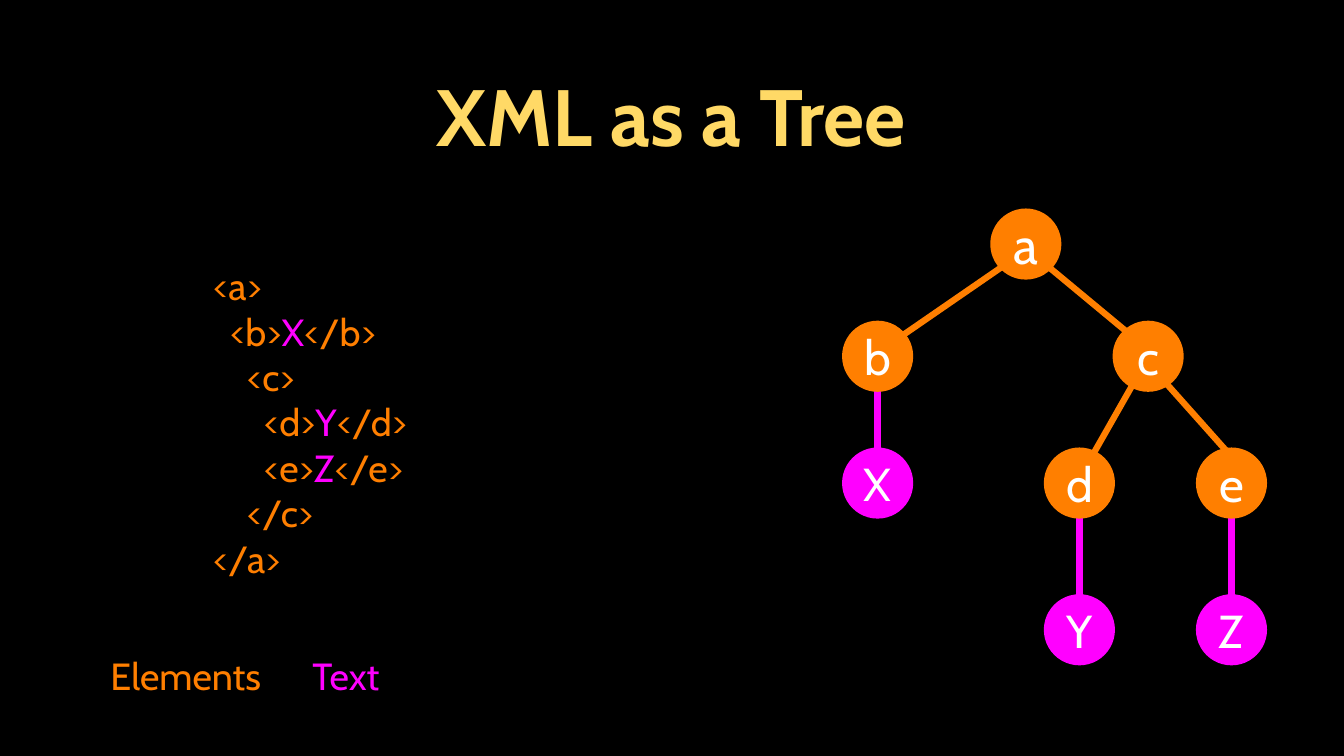
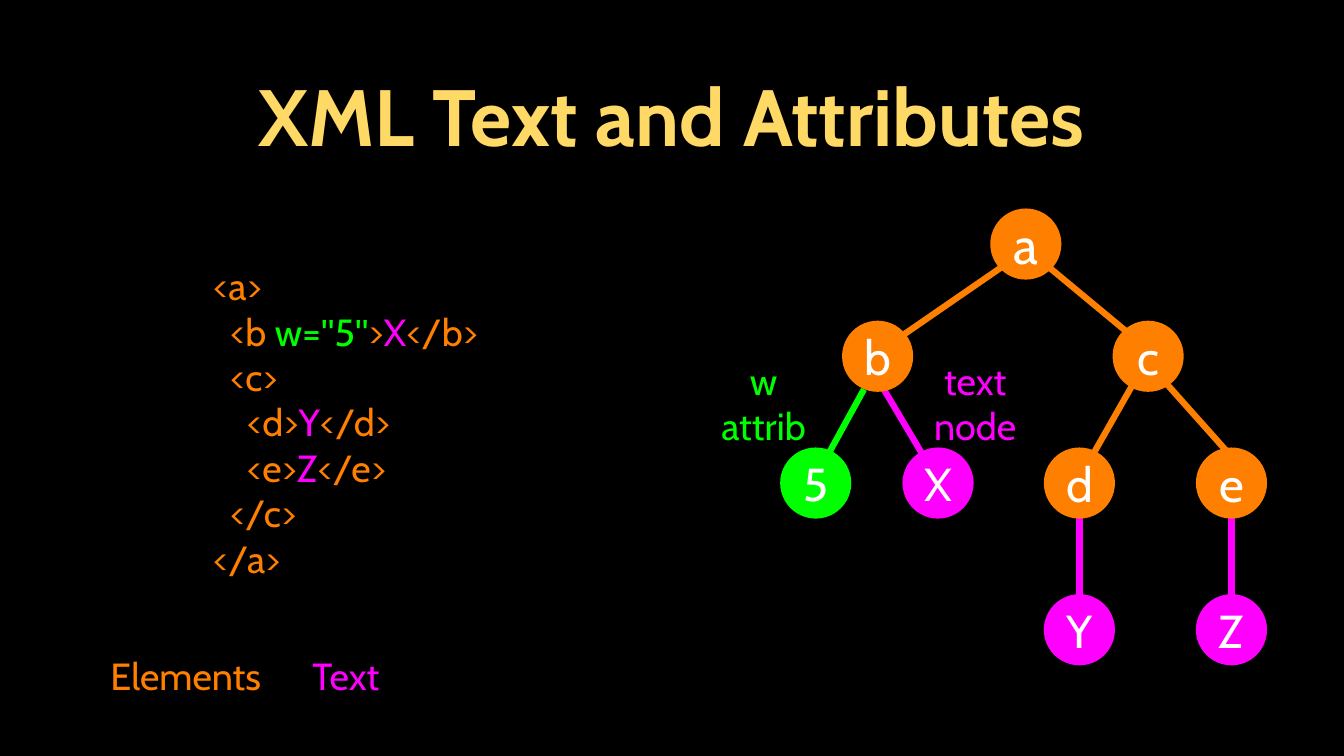
from dataclasses import dataclass

from lxml.etree import SubElement
from pptx import Presentation
from pptx.dml.color import RGBColor
from pptx.enum.shapes import MSO_CONNECTOR, MSO_SHAPE
from pptx.enum.text import MSO_ANCHOR, PP_ALIGN
from pptx.oxml.ns import qn
from pptx.util import Cm, Pt

BLACK, WHITE, GOLD = "000000", "FFFFFF", "FFD966"
ELEMENT, TEXT, ATTRIBUTE = "FF7F00", "FF00FF", "00FF00"
FONT, QUOTE_FONT = "Cabin", "Arial"
NODE_SIZE = 2.39
CODE_INDENT = 0.57


@dataclass(frozen=True)
class Piece:
    text: str
    color: str = ELEMENT
    font: str = FONT
    size: int = 36
    bold: bool = False


@dataclass(frozen=True)
class Line:
    pieces: list[Piece]
    level: int = 0


@dataclass(frozen=True)
class Box:
    left: float
    top: float
    width: float
    height: float


@dataclass(frozen=True)
class Label:
    box: Box
    words: list[str]
    color: str


@dataclass(frozen=True)
class Node:
    name: str
    x: float
    y: float
    color: str = ELEMENT
    size: int = 46


@dataclass(frozen=True)
class Edge:
    x1: float
    y1: float
    x2: float
    y2: float
    color: str = ELEMENT


@dataclass(frozen=True)
class TreeSlide:
    title: str
    code_width: float
    code: list[Line]
    edges: list[Edge]
    nodes: list[Node]
    labels: list[Label]


def rgb(color: str) -> RGBColor:
    return RGBColor.from_string(color)


def write(tf, lines: list[Line], align=PP_ALIGN.CENTER, margin: float = 0) -> None:
    tf.word_wrap = True
    tf.vertical_anchor = MSO_ANCHOR.MIDDLE
    tf.margin_left = tf.margin_right = tf.margin_top = tf.margin_bottom = Cm(margin)
    for i, line in enumerate(lines):
        p = tf.paragraphs[0] if i == 0 else tf.add_paragraph()
        p.alignment = align
        if line.level:
            p._p.get_or_add_pPr().set("marL", str(Cm(CODE_INDENT * line.level)))
        for piece in line.pieces:
            r = p.add_run()
            r.text = piece.text
            r.font.name = piece.font
            r.font.size = Pt(piece.size)
            r.font.bold = piece.bold
            r.font.color.rgb = rgb(piece.color)


def add_text(s, box: Box, lines: list[Line], align=PP_ALIGN.CENTER, margin: float = 0) -> None:
    sp = s.shapes.add_textbox(Cm(box.left), Cm(box.top), Cm(box.width), Cm(box.height))
    write(sp.text_frame, lines, align, margin)


def add_label(s, label: Label) -> None:
    add_text(s, label.box, [Line([Piece(word, label.color)]) for word in label.words])


def add_edge(s, edge: Edge) -> None:
    cxn = s.shapes.add_connector(
        MSO_CONNECTOR.STRAIGHT, Cm(edge.x1), Cm(edge.y1), Cm(edge.x2), Cm(edge.y2))
    cxn.line.color.rgb = rgb(edge.color)
    cxn.line.width = Pt(6)
    SubElement(cxn._element.spPr, qn("a:effectLst"))


def add_node(s, node: Node) -> None:
    """Draw a circle centred on the node's x and y."""
    sp = s.shapes.add_shape(
        MSO_SHAPE.OVAL, Cm(node.x - NODE_SIZE / 2), Cm(node.y - NODE_SIZE / 2),
        Cm(NODE_SIZE), Cm(NODE_SIZE))
    sp.shadow.inherit = False
    sp.fill.solid()
    sp.fill.fore_color.rgb = rgb(node.color)
    sp.line.fill.background()
    write(sp.text_frame, [Line([Piece(node.name, WHITE, size=node.size)])])


def tag(name: str, level: int = 0) -> Line:
    return Line([Piece(f"<{name}>")], level)


def leaf(name: str, text: str, level: int) -> Line:
    """An element holding only text, on one line."""
    return Line([Piece(f"<{name}>"), Piece(text, TEXT), Piece(f"</{name}>")], level)


def xml_code(b_line: Line, c_level: int, close_level: int) -> list[Line]:
    return [tag("a"), b_line, tag("c", c_level),
            leaf("d", "Y", c_level + 1), leaf("e", "Z", c_level + 1),
            tag("/c", close_level), tag("/a")]


def text_node(name: str, x: float, y: float) -> Node:
    return Node(name, x, y, TEXT, 44)


ROW_1, ROW_2, ROW_3, ROW_4 = 8.2, 11.97, 16.23, 21.16
A_X, B_X, C_X, D_X, E_X = 34.47, 29.49, 38.58, 36.27, 41.38

TREE_NODES = [
    Node("a", A_X, ROW_1, size=49),
    Node("b", B_X, ROW_2),
    Node("c", C_X, ROW_2),
    Node("d", D_X, ROW_3),
    Node("e", E_X, ROW_3),
    text_node("Y", D_X, ROW_4),
    text_node("Z", E_X, ROW_4),
]
TREE_EDGES = [
    Edge(D_X, 17.2, D_X, 20.07, TEXT),
    Edge(E_X, 17.2, E_X, 20.07, TEXT),
    Edge(34.04, 8.71, 30.02, 11.48),
    Edge(35.08, 8.84, 38.02, 11.28),
    Edge(38.13, 12.8, 36.6, 15.49),
    Edge(39.07, 12.75, 41.2, 15.14),
]
LEGEND = [
    Label(Box(3.3, 21.84, 5.89, 1.73), ["Elements"], ELEMENT),
    Label(Box(10.34, 21.84, 2.57, 1.73), ["Text"], TEXT),
]

QUOTE = Piece('"', ATTRIBUTE, QUOTE_FONT)
B_WITH_ATTRIBUTE = Line([
    Piece("<b "), Piece("w=", ATTRIBUTE), QUOTE, Piece("5", ATTRIBUTE), QUOTE,
    Piece(">"), Piece("X", TEXT), Piece("</b>")], 1)

SLIDES = [
    TreeSlide(
        "XML as a Tree", 7.57,
        xml_code(leaf("b", "X", 1), c_level=2, close_level=2),
        [Edge(B_X, 12.73, B_X, 15.6, TEXT)],
        [text_node("X", B_X, ROW_3)],
        []),
    TreeSlide(
        "XML Text and Attributes", 10.21,
        xml_code(B_WITH_ATTRIBUTE, c_level=1, close_level=1),
        [Edge(B_X, 12.73, 31.04, 15.34, TEXT),
         Edge(29.03, 13.08, 27.86, 15.21, ATTRIBUTE)],
        [text_node("X", 31.52, ROW_3), Node("5", 27.41, ROW_3, ATTRIBUTE, 44)],
        [Label(Box(24.1, 11.95, 3.12, 3.18), ["w", "attrib"], ATTRIBUTE),
         Label(Box(31.32, 11.95, 2.9, 3.18), ["text", "node"], TEXT)]),
]


def add_tree_slide(prs, content: TreeSlide) -> None:
    s = prs.slides.add_slide(prs.slide_layouts[6])
    title = Piece(content.title, GOLD, size=76, bold=True)
    add_text(s, Box(3.2, 0.66, 38.71, 6.38), [Line([title])], margin=0.1)
    add_text(s, Box(7.16, 8.79, content.code_width, 10.77), content.code, PP_ALIGN.LEFT)
    for edge in content.edges + TREE_EDGES:
        add_edge(s, edge)
    for node in TREE_NODES + content.nodes:
        add_node(s, node)
    for label in content.labels + LEGEND:
        add_label(s, label)


def main() -> None:
    prs = Presentation()
    prs.slide_width, prs.slide_height = Cm(45.16), Cm(25.4)
    background = prs.slide_master.background.fill
    background.solid()
    background.fore_color.rgb = rgb(BLACK)
    for content in SLIDES:
        add_tree_slide(prs, content)
    prs.save("out.pptx")


if __name__ == "__main__":
    main()
